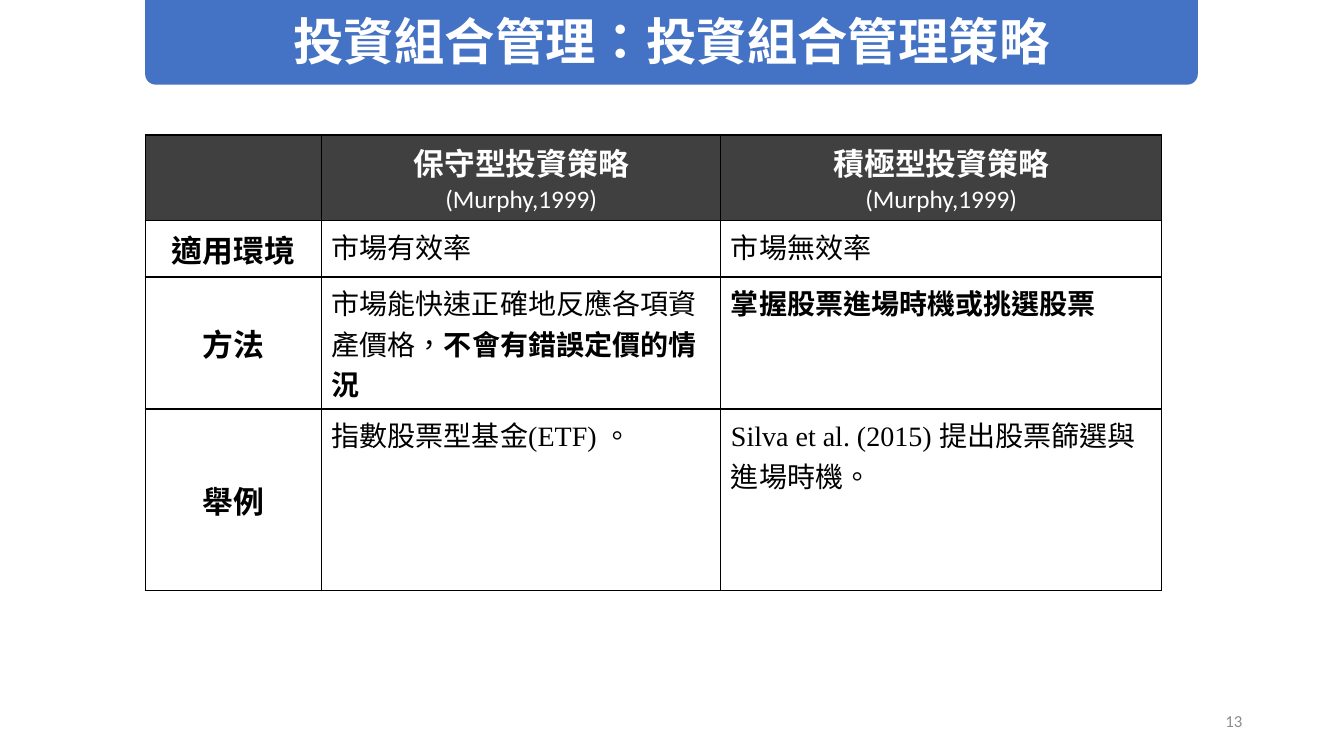
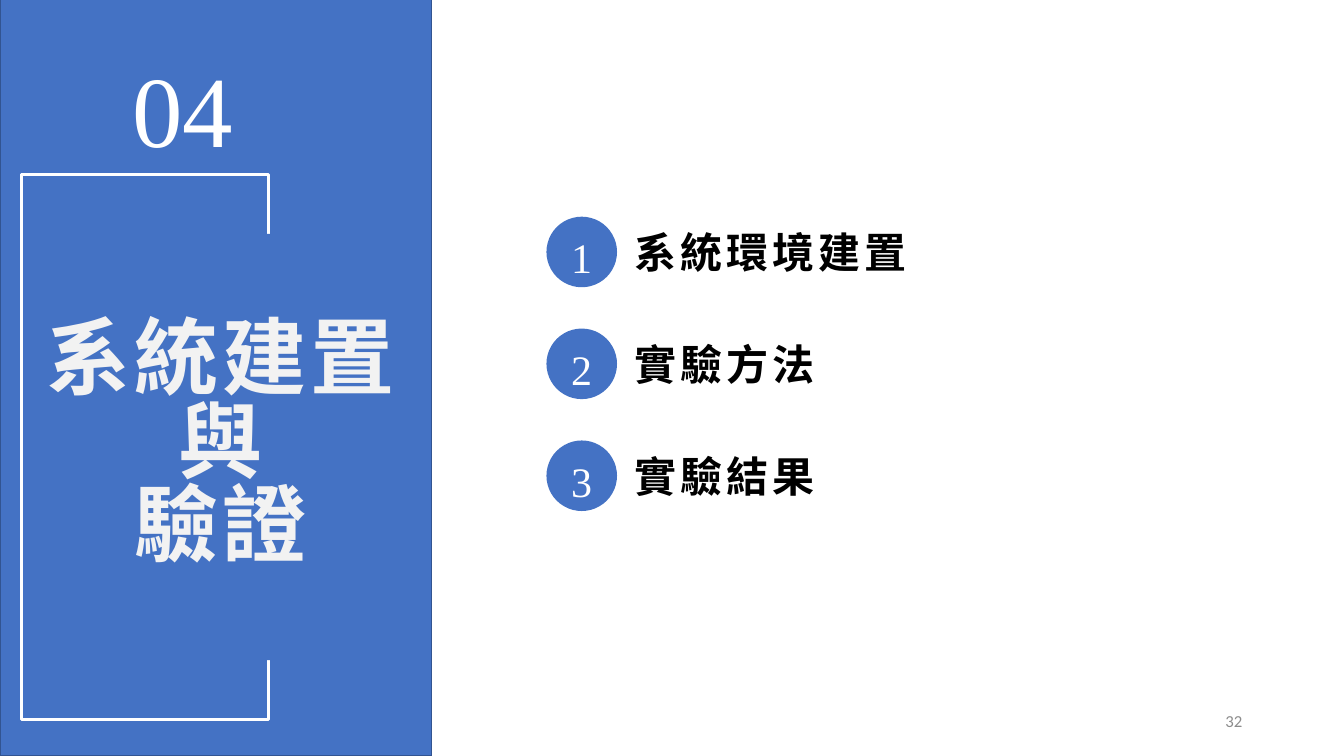
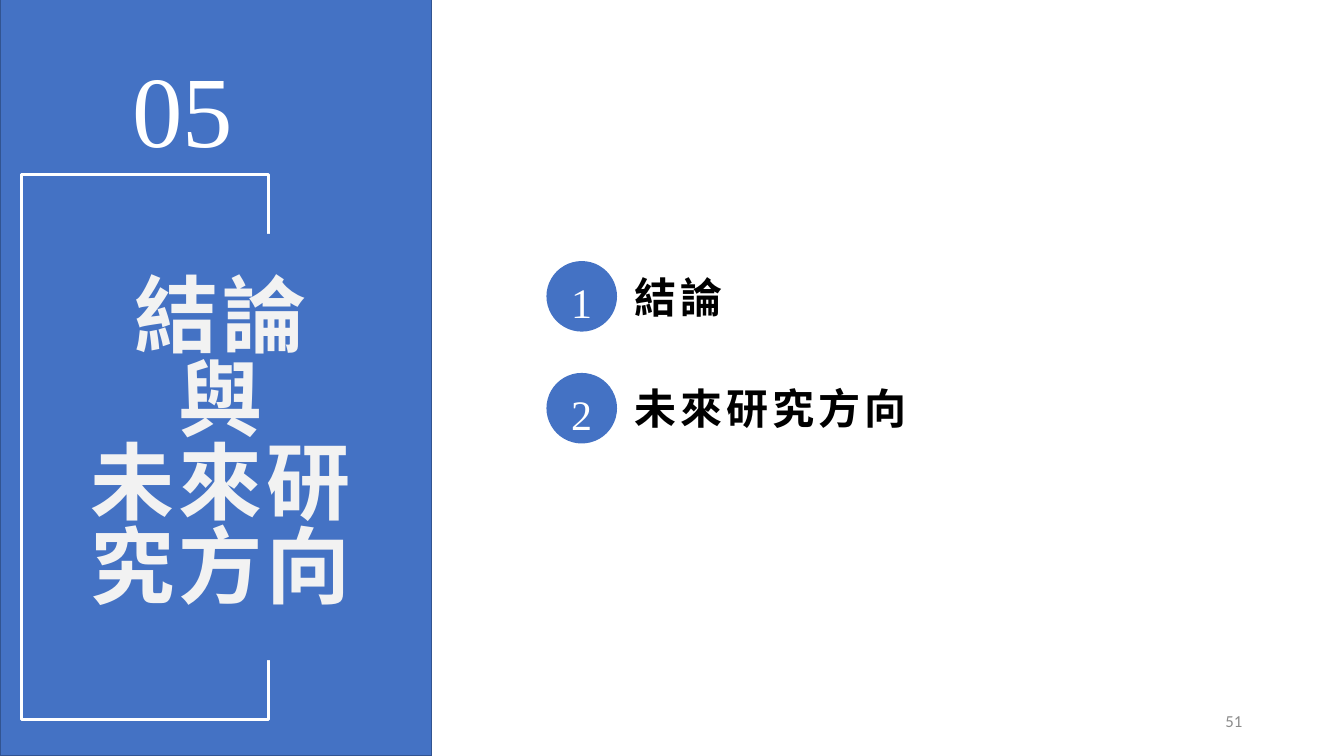
from lxml import etree
from pptx import Presentation
from pptx.dml.color import RGBColor
from pptx.enum.shapes import MSO_SHAPE
from pptx.enum.text import MSO_ANCHOR, PP_ALIGN
from pptx.oxml.ns import qn
from pptx.util import Inches, Pt

BLUE = RGBColor(0x44, 0x72, 0xC4)
DARK_BLUE = RGBColor(0x32, 0x54, 0x91)
WHITE = RGBColor(0xFF, 0xFF, 0xFF)
OFF_WHITE = RGBColor(0xF2, 0xF2, 0xF2)
BLACK = RGBColor(0, 0, 0)
CHARCOAL = RGBColor(0x40, 0x40, 0x40)
GRAY = RGBColor(0x8C, 0x8C, 0x8C)
CJK, SERIF, SANS = "Noto Sans CJK SC", "Times New Roman", "Calibri"


class Deck:
    def __init__(self):
        self.prs = Presentation()
        self.prs.slide_width = Inches(13.33)
        self.prs.slide_height = Inches(7.5)
        self.s = None

    def new_slide(self):
        self.s = self.prs.slides.add_slide(self.prs.slide_layouts[6])

    def style(self, p, size, color, font=CJK, bold=False, align=PP_ALIGN.LEFT,
              tracking=0, line_spacing=None):
        p.alignment = align
        if line_spacing:
            p.line_spacing = line_spacing
        for r in p.runs:
            r.font.size = Pt(size)
            r.font.bold = bold
            r.font.name = font
            r.font.color.rgb = color
            rPr = r._r.get_or_add_rPr()
            rPr.set("lang", "zh-TW")
            if tracking:
                rPr.set("spc", str(tracking * 100))
            etree.SubElement(rPr, qn("a:ea")).set("typeface", CJK)

    def label(self, sp, text, size, color, anchor=MSO_ANCHOR.MIDDLE, **style):
        tf = sp.text_frame
        tf.word_wrap = True
        tf.vertical_anchor = anchor
        tf.text = text
        for p in tf.paragraphs:
            self.style(p, size, color, **style)

    def text(self, at, text, size, color, **style):
        sp = self.s.shapes.add_textbox(*map(Inches, at))
        self.label(sp, text, size, color, **style)

    def shape(self, kind, at, fill=None, line=None, width=1):
        sp = self.s.shapes.add_shape(kind, *map(Inches, at))
        sp.shadow.inherit = False
        if fill is None:
            sp.fill.background()
        else:
            sp.fill.solid()
            sp.fill.fore_color.rgb = fill
        if line is None:
            sp.line.fill.background()
        else:
            sp.line.color.rgb = line
            sp.line.width = Pt(width)
        return sp

    def title(self, text):
        sp = self.shape(MSO_SHAPE.ROUND_2_SAME_RECTANGLE, (1.44, 0, 10.44, 0.84), BLUE)
        sp.adjustments[0] = 0
        sp.adjustments[1] = 0.125
        self.label(sp, text, 36, WHITE, bold=True, align=PP_ALIGN.CENTER)

    def page_number(self, number):
        self.text((9.42, 6.95, 3, 0.4), str(number), 12, GRAY, font=SANS,
                  align=PP_ALIGN.RIGHT)

    def section(self, number, heading):
        self.shape(MSO_SHAPE.RECTANGLE, (0, -0.1, 4.28, 7.6), BLUE, DARK_BLUE)
        self.text((-0.31, 0.29, 4.24, 1.31), number, 72, WHITE, font=SERIF,
                  anchor=MSO_ANCHOR.TOP, align=PP_ALIGN.CENTER, line_spacing=1.1)
        self.shape(MSO_SHAPE.RECTANGLE, (0.21, 1.73, 2.45, 5.41), line=WHITE, width=2.25)
        sp = self.shape(MSO_SHAPE.RECTANGLE, (0.31, 2.32, 3.76, 4.23), BLUE)
        self.label(sp, heading, 60, OFF_WHITE, bold=True, tracking=3,
                   align=PP_ALIGN.CENTER, line_spacing=0.83)

    def agenda(self, top, items):
        for i, item in enumerate(items):
            y = top + i * 1.11
            self.text((6.19, y + 0.1, 3.48, 0.5), item, 30, BLACK, bold=True, tracking=3)
            sp = self.shape(MSO_SHAPE.OVAL, (5.42, y, 0.7, 0.7), BLUE)
            self.label(sp, str(i + 1), 30, WHITE, font=SERIF,
                       align=PP_ALIGN.CENTER, line_spacing=1.2)

    def borders(self, cell):
        tcPr = cell._tc.get_or_add_tcPr()
        for side in ("a:lnL", "a:lnR", "a:lnT", "a:lnB"):
            ln = etree.SubElement(tcPr, qn(side), w=str(Pt(1)))
            fill = etree.SubElement(ln, qn("a:solidFill"))
            etree.SubElement(fill, qn("a:srgbClr"), val=str(BLACK))

    def table(self, at, widths, heights, rows):
        table = self.s.shapes.add_table(len(heights), len(widths), *map(Inches, at)).table
        table.first_row = table.horz_banding = False
        for column, width in zip(table.columns, widths):
            column.width = Inches(width)
        for row, height in zip(table.rows, heights):
            row.height = Inches(height)
        for i, row in enumerate(rows):
            for j, content in enumerate(row):
                self.cell(table.cell(i, j), content, i == 0, j == 0)

    def cell(self, cell, content, is_header, is_label):
        self.borders(cell)
        if is_header:
            cell.fill.solid()
            cell.fill.fore_color.rgb = CHARCOAL
        else:
            cell.fill.background()
        if is_header or is_label:
            cell.vertical_anchor = MSO_ANCHOR.MIDDLE
            cell.text_frame.text = content
            color = WHITE if is_header else BLACK
            for i, p in enumerate(cell.text_frame.paragraphs):
                size, font, bold = (18, SANS, False) if i else (22, SERIF, True)
                self.style(p, size, color, font, bold, PP_ALIGN.CENTER)
        else:
            plain, strong = content
            p = cell.text_frame.paragraphs[0]
            for part in filter(None, content):
                p.add_run().text = part
            self.style(p, 20, BLACK, SERIF)
            if strong:
                p.runs[-1].font.bold = True


def main():
    deck = Deck()

    deck.new_slide()
    deck.title("投資組合管理：投資組合管理策略")
    deck.table((1.44, 1.34, 10.08, 4.23), (1.75, 3.96, 4.37), (0.83, 0.56, 1.04, 1.8), [
        ("", "保守型投資策略\n(Murphy,1999)", "積極型投資策略\n(Murphy,1999)"),
        ("適用環境", ("市場有效率", ""), ("市場無效率", "")),
        ("方法", ("市場能快速正確地反應各項資產價格，", "不會有錯誤定價的情況"),
         ("", "掌握股票進場時機或挑選股票")),
        ("舉例", ("指數股票型基金(ETF) 。", ""),
         ("Silva et al. (2015) 提出股票篩選與進場時機。", "")),
    ])
    deck.page_number(13)

    sections = [
        ("04", "系統建置\n與\n驗證", 32, 2.15, ("系統環境建置", "實驗方法", "實驗結果")),
        ("05", "結論\n與\n未來研\n究方向", 51, 2.59, ("結論", "未來研究方向")),
    ]
    for number, heading, page, top, items in sections:
        deck.new_slide()
        deck.section(number, heading)
        deck.page_number(page)
        deck.agenda(top, items)

    deck.prs.save("out.pptx")


if __name__ == "__main__":
    main()
